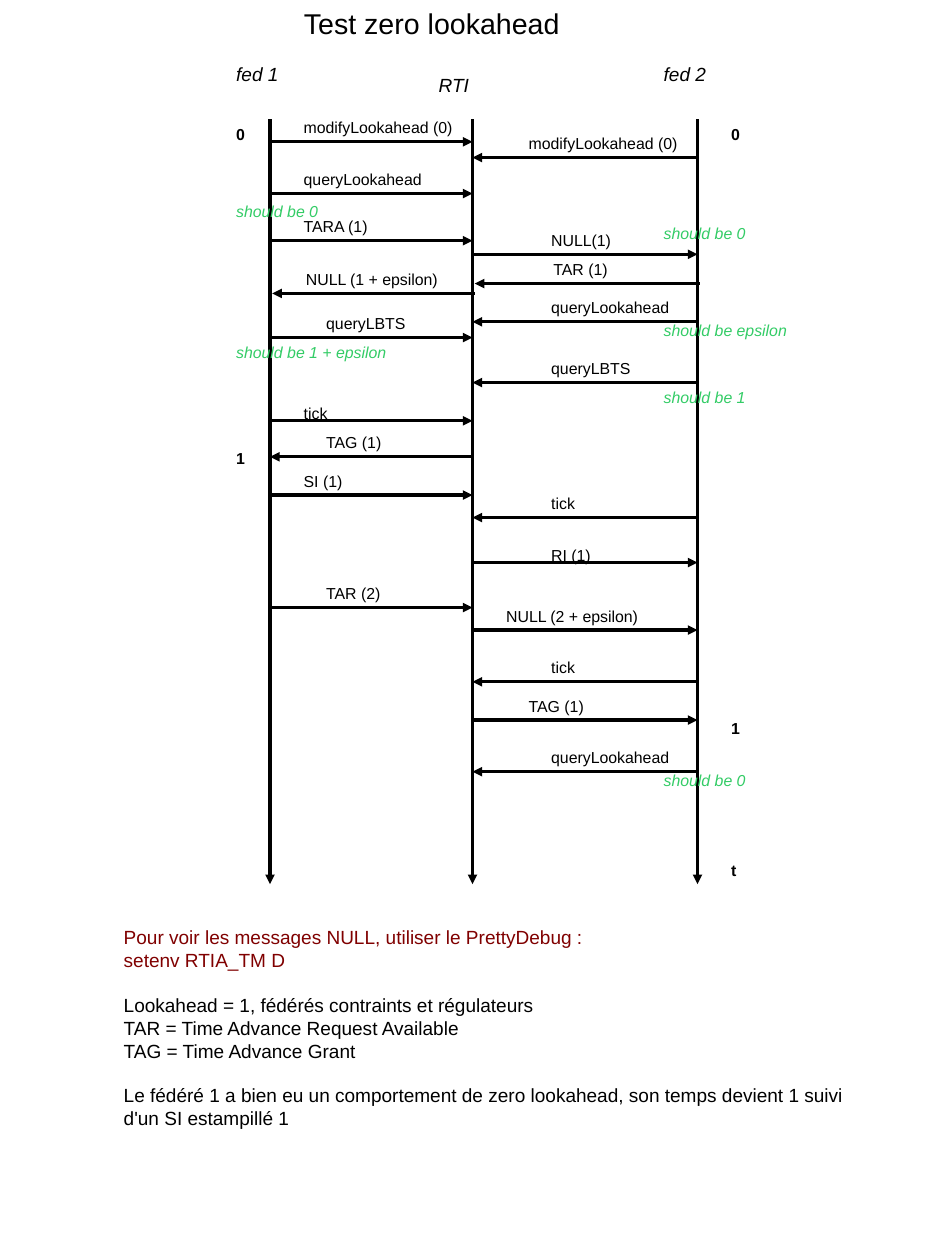
import pptx
import pptx.util
import pptx.dml.color
import pptx.enum.shapes
import pptx.enum.text
import pptx.oxml.ns
import lxml.etree
from pptx.util import Cm, Pt

BLACK, GREEN, MAROON = "000000", "33CC66", "800000"
FED1, RTI, FED2 = 6, 10.5, 15.5  # lifeline positions in cm

deck = pptx.Presentation()
deck.slide_width, deck.slide_height = Cm(21), Cm(28)
slide = deck.slides.add_slide(deck.slide_layouts[5])


def write(box, lines, size, color=BLACK, bold=False, italic=False):
    """Fill a title or text box with left-aligned lines of one style."""
    frame = box.text_frame
    frame.word_wrap = True
    frame.auto_size = pptx.enum.text.MSO_AUTO_SIZE.SHAPE_TO_FIT_TEXT
    frame.vertical_anchor = pptx.enum.text.MSO_ANCHOR.TOP
    frame.text = "\n".join(lines)
    for para in frame.paragraphs:
        para.alignment = pptx.enum.text.PP_ALIGN.LEFT
        para.font.name = "Arial"
        para.font.size = Pt(size)
        para.font.bold = bold
        para.font.italic = italic
        para.font.color.rgb = pptx.dml.color.RGBColor.from_string(color)
    return frame.paragraphs


def draw_arrow(x1, y1, x2, y2):
    """Draw a hairline arrow pointing at its second end."""
    arrow = slide.shapes.add_connector(
        pptx.enum.shapes.MSO_CONNECTOR.STRAIGHT, Cm(x1), Cm(y1), Cm(x2), Cm(y2))
    arrow.line.color.rgb = pptx.dml.color.RGBColor.from_string(BLACK)
    arrow.line.width = Pt(0)
    properties = arrow.element.spPr
    outline = properties.find(pptx.oxml.ns.qn("a:ln"))
    lxml.etree.SubElement(outline, pptx.oxml.ns.qn("a:tailEnd"), type="triangle")
    lxml.etree.SubElement(properties, pptx.oxml.ns.qn("a:effectLst"))


# Title
title = slide.shapes.title
title.left, title.top, title.width, title.height = Cm(6.5), Cm(0), Cm(9.5), Cm(0.97)
write(title, ["Test zero lookahead"], 18)

# Lifelines
for x in (FED1, RTI, FED2):
    draw_arrow(x, 2.65, x, 19.65)

# Messages: sender, receiver, arrow height, label left, label rise, label
messages = [
    (FED1, RTI, 3.15, 6.5, 0.65, "modifyLookahead (0)"),
    (FED2, RTI, 3.5, 11.5, 0.65, "modifyLookahead (0)"),
    (FED1, RTI, 4.3, 6.5, 0.65, "queryLookahead"),
    (FED1, RTI, 5.35, 6.5, 0.65, "TARA (1)"),
    (RTI, FED2, 5.65, 12, 0.65, "NULL(1)"),
    (FED2 + 0.05, RTI + 0.05, 6.3, 12.05, 0.65, "TAR (1)"),
    (RTI + 0.05, FED1 + 0.05, 6.52, 6.55, 0.65, "NULL (1 + epsilon)"),
    (FED2, RTI, 7.15, 12, 0.65, "queryLookahead"),
    (FED1, RTI, 7.5, 7, 0.65, "queryLBTS"),
    (FED2, RTI, 8.5, 12, 0.65, "queryLBTS"),
    (FED1, RTI, 9.35, 6.5, 0.5, "tick"),
    (RTI, FED1, 10.15, 7, 0.65, "TAG (1)"),
    (FED1, RTI, 11, 6.5, 0.65, "SI (1)"),
    (FED2, RTI, 11.5, 12, 0.65, "tick"),
    (RTI, FED2, 12.5, 12, 0.5, "RI (1)"),
    (FED1, RTI, 13.5, 7, 0.65, "TAR (2)"),
    (RTI, FED2, 14, 11, 0.65, "NULL (2 + epsilon)"),
    (FED2, RTI, 15.15, 12, 0.65, "tick"),
    (RTI, FED2, 16, 11.5, 0.65, "TAG (1)"),
    (FED2, RTI, 17.15, 12, 0.65, "queryLookahead"),
]
for sender, receiver, y, left, rise, label in messages:
    draw_arrow(sender, y, receiver, y)
    box = slide.shapes.add_textbox(Cm(left), Cm(y - rise), Cm(4), Cm(0.64))
    write(box, [label], 10)

# Federate names
for left, top, name in [(5, 1.27, "fed 1"), (9.5, 1.5, "RTI"), (14.5, 1.27, "fed 2")]:
    box = slide.shapes.add_textbox(Cm(left), Cm(top), Cm(2), Cm(0.74))
    write(box, [name], 12, italic=True)

# Logical times
times = [(5, 2.65, "0"), (5, 9.85, "1"),
         (16, 2.65, "0"), (16, 15.85, "1"), (16, 19, "t")]
for left, top, time in times:
    box = slide.shapes.add_textbox(Cm(left), Cm(top), Cm(1), Cm(0.64))
    write(box, [time], 10, bold=True)

# Expected values
expectations = [
    (5, 4.35, "should be 0"),
    (5, 7.5, "should be 1 + epsilon"),
    (14.5, 4.85, "should be 0"),
    (14.5, 7, "should be epsilon"),
    (14.5, 8.5, "should be 1"),
    (14.5, 17, "should be 0"),
]
for left, top, expected in expectations:
    box = slide.shapes.add_textbox(Cm(left), Cm(top), Cm(4), Cm(0.64))
    write(box, [expected], 10, GREEN, italic=True)

# Notes below the diagram
box = slide.shapes.add_textbox(Cm(2.5), Cm(20.45), Cm(17), Cm(4.52))
paras = write(box, [
    "Pour voir les messages NULL, utiliser le PrettyDebug :",
    "setenv RTIA_TM D",
    "Lookahead = 1, fédérés contraints et régulateurs",
    "TAR = Time Advance Request Available",
    "TAG = Time Advance Grant",
    "Le fédéré 1 a bien eu un comportement de zero lookahead, "
    "son temps devient 1 suivi d'un SI estampillé 1",
], 12)
for para in paras[:2]:
    para.font.color.rgb = pptx.dml.color.RGBColor.from_string(MAROON)
for para in (paras[2], paras[5]):
    para.space_before = Pt(13.8)

deck.save("out.pptx")
